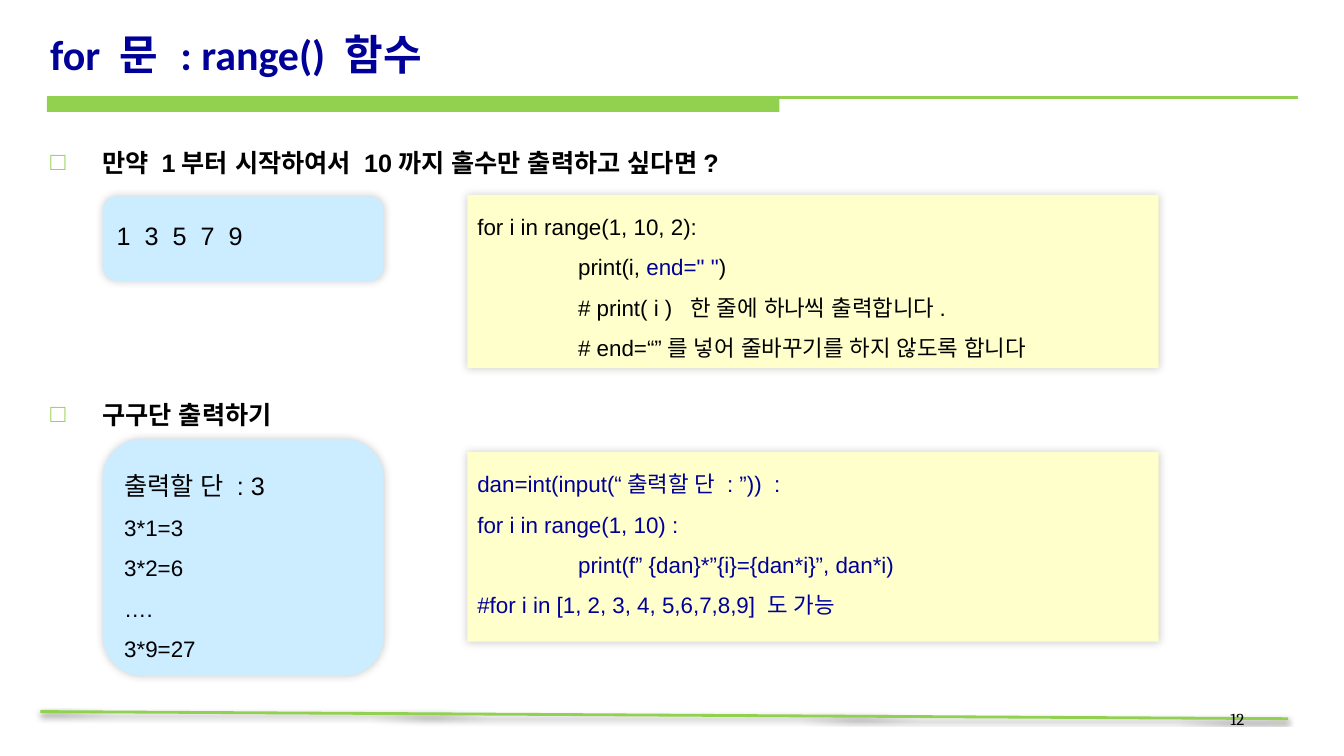
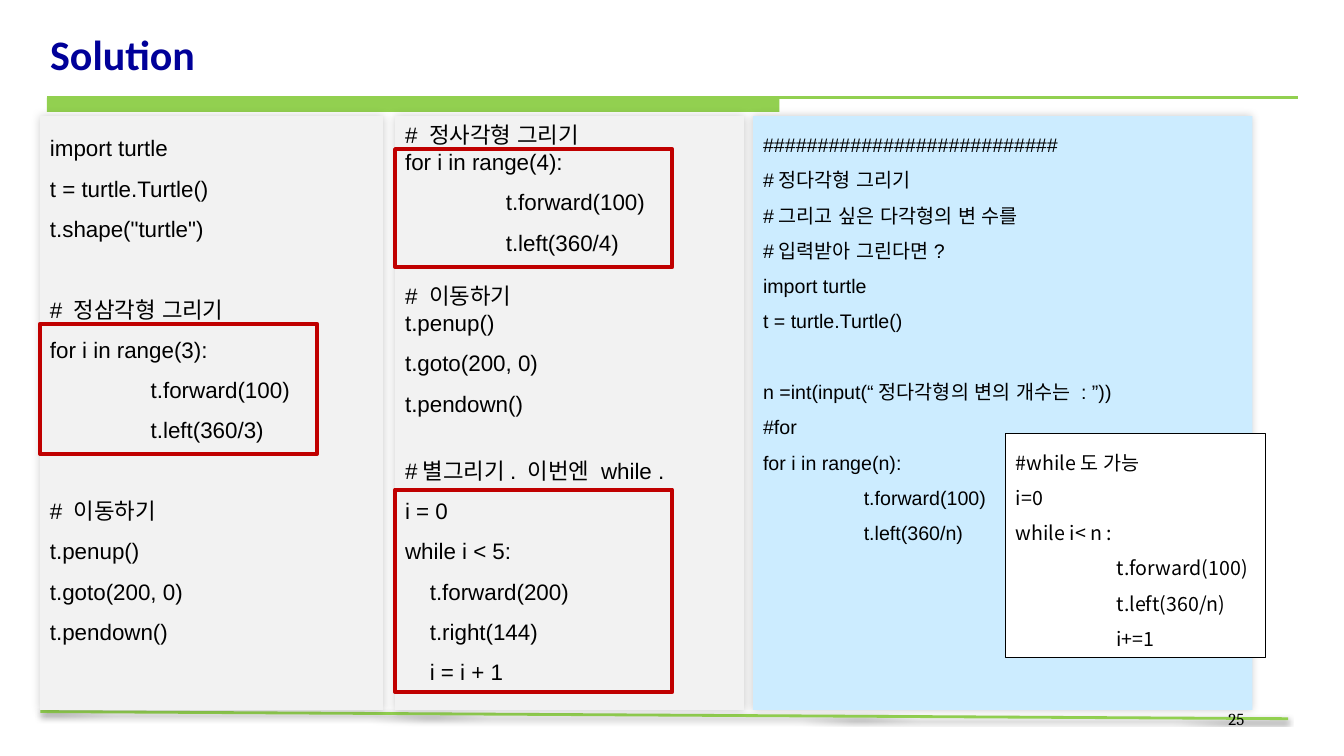
"""Build two slides on Python for loops."""
import lxml.etree
import pptx
import pptx.dml.color
import pptx.enum.shapes
import pptx.enum.text
import pptx.oxml.ns
import pptx.util

Cm = pptx.util.Cm
Pt = pptx.util.Pt
RGB = pptx.dml.color.RGBColor
Kind = pptx.enum.shapes.MSO_SHAPE
Align = pptx.enum.text.PP_ALIGN
Anchor = pptx.enum.text.MSO_ANCHOR
qn = pptx.oxml.ns.qn

GREEN = RGB(0x92, 0xD0, 0x50)
NAVY = RGB(0x00, 0x00, 0x99)
BLACK = RGB(0x00, 0x00, 0x00)
WHITE = RGB(0xFF, 0xFF, 0xFF)
SKY = RGB(0xCC, 0xEC, 0xFF)
CREAM = RGB(0xFF, 0xFF, 0xCC)
GRAY = RGB(0xF2, 0xF2, 0xF2)
RED = RGB(0xC0, 0x00, 0x00)


class Deck:
    def __init__(self):
        self.show = pptx.Presentation()
        self.show.slide_width = Cm(33.87)
        self.show.slide_height = Cm(19.05)
        self.slide = None

    def start(self, title, page):
        self.slide = self.show.slides.add_slide(self.show.slide_layouts[5])
        self.rule(1.02, 17.93, 32.46, 18.11, 2, (38, 3.1, 1.6, 90))
        self.box(1.18, 2.46, 18.46, 0.36, GREEN, soft=False)
        self.rule(1.18, 2.46, 32.72, 2.46, 2.25)
        head = self.slide.shapes.title
        head.left, head.top, head.width, head.height = (
            Cm(n) for n in (1.01, 0.21, 31.7, 1.9))
        head.text_frame.auto_size = pptx.enum.text.MSO_AUTO_SIZE.NONE
        head.text_frame.vertical_anchor = Anchor.BOTTOM
        self.put(head, [title], 30, NAVY, space=1, face="Calibri",
                 asian="Arial", bold=True)
        foot = self.label(24.27, 17.73, 7.34, 1.32)
        self.put(foot, [page], 12, space=1, face="Cambria", align=Align.RIGHT)

    def shade(self, shape, alpha, blur, dist, angle):
        props = shape.element.spPr
        effect = props.find(qn("a:effectLst"))
        if effect is None:
            effect = lxml.etree.SubElement(props, qn("a:effectLst"))
        cast = lxml.etree.SubElement(
            effect, qn("a:outerShdw"), blurRad=str(Pt(blur)),
            dist=str(Pt(dist)), dir=str(angle * 60000), rotWithShape="0")
        tint = lxml.etree.SubElement(cast, qn("a:srgbClr"), val=str(BLACK))
        lxml.etree.SubElement(tint, qn("a:alpha"), val=str(alpha * 1000))

    def rule(self, left, top, right, low, width, shade=None):
        line = self.slide.shapes.add_connector(
            pptx.enum.shapes.MSO_CONNECTOR.STRAIGHT,
            Cm(left), Cm(top), Cm(right), Cm(low))
        line.line.color.rgb = GREEN
        line.line.width = Pt(width)
        if shade:
            self.shade(line, *shade)
        else:
            lxml.etree.SubElement(line.element.spPr, qn("a:effectLst"))

    def box(self, left, top, width, height, fill=None, kind=Kind.RECTANGLE,
            edge=None, thick=0.75, soft=True):
        shape = self.slide.shapes.add_shape(
            kind, Cm(left), Cm(top), Cm(width), Cm(height))
        if fill is None:
            shape.fill.background()
        else:
            shape.fill.solid()
            shape.fill.fore_color.rgb = fill
        if edge is None:
            shape.line.fill.background()
        else:
            shape.line.color.rgb = edge
            shape.line.width = Pt(thick)
        shape.shadow.inherit = False
        if soft:
            self.shade(shape, 20, 6, 0, 315)
        shape.text_frame.word_wrap = True
        shape.text_frame.vertical_anchor = Anchor.TOP
        return shape

    def pill(self, top, height):
        return self.box(2.59, top, 7.08, height, SKY,
                        Kind.FLOWCHART_ALTERNATE_PROCESS)

    def code(self, top, height):
        return self.box(11.78, top, 17.42, height, CREAM)

    def frame(self, left, top, height):
        self.box(left, top, 6.98, height, edge=RED, thick=3, soft=False)

    def label(self, left, top, width, height):
        shape = self.slide.shapes.add_textbox(
            Cm(left), Cm(top), Cm(width), Cm(height))
        shape.text_frame.word_wrap = True
        return shape

    def point(self, top, text):
        shape = self.label(1.02, top, 31.7, 1.3)
        para = self.put(shape, [text], 18, bold=True)
        props = para._p.get_or_add_pPr()
        props.set("marL", str(Cm(1.31)))
        props.set("indent", str(Cm(-1.31)))
        tint = lxml.etree.SubElement(props, qn("a:buClr"))
        lxml.etree.SubElement(tint, qn("a:srgbClr"), val=str(GREEN))
        lxml.etree.SubElement(props, qn("a:buFont"), typeface="Arial")
        lxml.etree.SubElement(props, qn("a:buChar"), char="□")

    def stop(self, para):
        tabs = lxml.etree.SubElement(para._p.get_or_add_pPr(), qn("a:tabLst"))
        lxml.etree.SubElement(tabs, qn("a:tab"), pos=str(Cm(2.54)), algn="l")

    def put(self, shape, lines, size=16, color=BLACK, space=1.5, gap=0,
            face="Arial", asian=None, bold=False, align=Align.LEFT):
        """Append lines, each a string or a list of (text, colour) runs."""
        body = shape.text_frame
        for index, line in enumerate(lines):
            para = body.paragraphs[0]
            if para.runs:
                para = body.add_paragraph()
            para.alignment = align
            para.line_spacing = space
            if gap and index == 0:
                para.space_before = Pt(gap)
            runs = [(line, color)] if isinstance(line, str) else line
            if runs[0][0].startswith("\t"):
                self.stop(para)
            for text, tint in runs:
                run = para.add_run()
                run.text = text
                run.font.name = face
                run.font.size = Pt(size)
                run.font.bold = bold
                run.font.color.rgb = tint
                lxml.etree.SubElement(run._r.get_or_add_rPr(), qn("a:ea"),
                                      typeface=asian or face)
        return para


def loops(deck):
    deck.start("for 문 : range() 함수", "12")
    deck.point(3.2, "만약 1부터 시작하여서 10까지 홀수만 출력하고 싶다면?")
    deck.point(9.55, "구구단 출력하기")
    deck.put(deck.pill(4.95, 2.13), ["1  3  5  7  9"], 18)
    deck.put(deck.code(4.91, 4.37), [
        "for i in range(1, 10, 2):",
        [("\tprint(i, ", BLACK), ('end=" "', NAVY), (")", BLACK)],
        "\t# print( i )  한 줄에 하나씩 출력합니다.",
        "\t# end=“”를 넣어 줄바꾸기를 하지 않도록 합니다"])
    deck.put(deck.code(11.39, 4.78), [
        "dan=int(input(“출력할 단 : ”))  :",
        "for i in range(1, 10) :",
        "\tprint(f” {dan}*”{i}={dan*i}”, dan*i)",
        "#for i in [1, 2, 3, 4, 5,6,7,8,9] 도 가능"], color=NAVY)
    table = deck.pill(11.06, 5.97)
    deck.put(table, ["출력할 단 : 3"], 18)
    deck.put(table, ["3*1=3", "3*2=6", "….", "3*9=27"])


def answer(deck):
    deck.start("Solution", "25")
    top, high = 2.93, 14.96
    move = ["t.goto(200, 0)", "t.pendown()"]

    left = deck.box(1.01, top, 8.64, high, GRAY)
    deck.put(left, ["import turtle", "t = turtle.Turtle()",
                    't.shape("turtle")'])
    deck.put(left, ["# 정삼각형 그리기", "for i in range(3):",
                    "\tt.forward(100)", "\tt.left(360/3)"], gap=28.8)
    deck.put(left, ["# 이동하기", "t.penup()"] + move, gap=28.8)

    mid = deck.box(9.96, top, 8.79, high, GRAY)
    deck.put(mid, ["# 정사각형 그리기", "for i in range(4):"], space=1)
    deck.put(mid, ["\tt.forward(100)", "\tt.left(360/4)"])
    deck.put(mid, ["# 이동하기", "t.penup()"], space=1, gap=19.2)
    deck.put(mid, move)
    deck.put(mid, ["#별그리기. 이번엔 while .", "i = 0", "while i < 5:",
                   "    t.forward(200)", "    t.right(144)",
                   "    i = i + 1"], gap=19.2)

    right = deck.box(18.98, top, 12.58, high, SKY)
    deck.put(right, ["###########################", "#정다각형 그리기",
                     "#그리고 싶은 다각형의 변 수를", "#입력받아 그린다면?",
                     "import turtle", "t = turtle.Turtle()"], 14)
    deck.put(right, ["n =int(input(“정다각형의 변의 개수는 : ”))", "#for",
                     "for i in range(n):", "\tt.forward(100)",
                     "\tt.left(360/n)"], 14, gap=25.2)

    for spot in ((1.01, 8.16, 3.28), (9.96, 3.76, 2.97), (9.96, 12.34, 5.1)):
        deck.frame(*spot)
    note = deck.box(25.35, 10.93, 6.55, 5.64, WHITE, edge=BLACK, soft=False)
    deck.put(note, ["#while도 가능", "i=0", "while i< n :", "\tt.forward(100)",
                    "\tt.left(360/n)", "\ti+=1"], 14, face="Noto Sans CJK KR")


def main():
    deck = Deck()
    loops(deck)
    answer(deck)
    deck.show.save("out.pptx")


if __name__ == "__main__":
    main()
